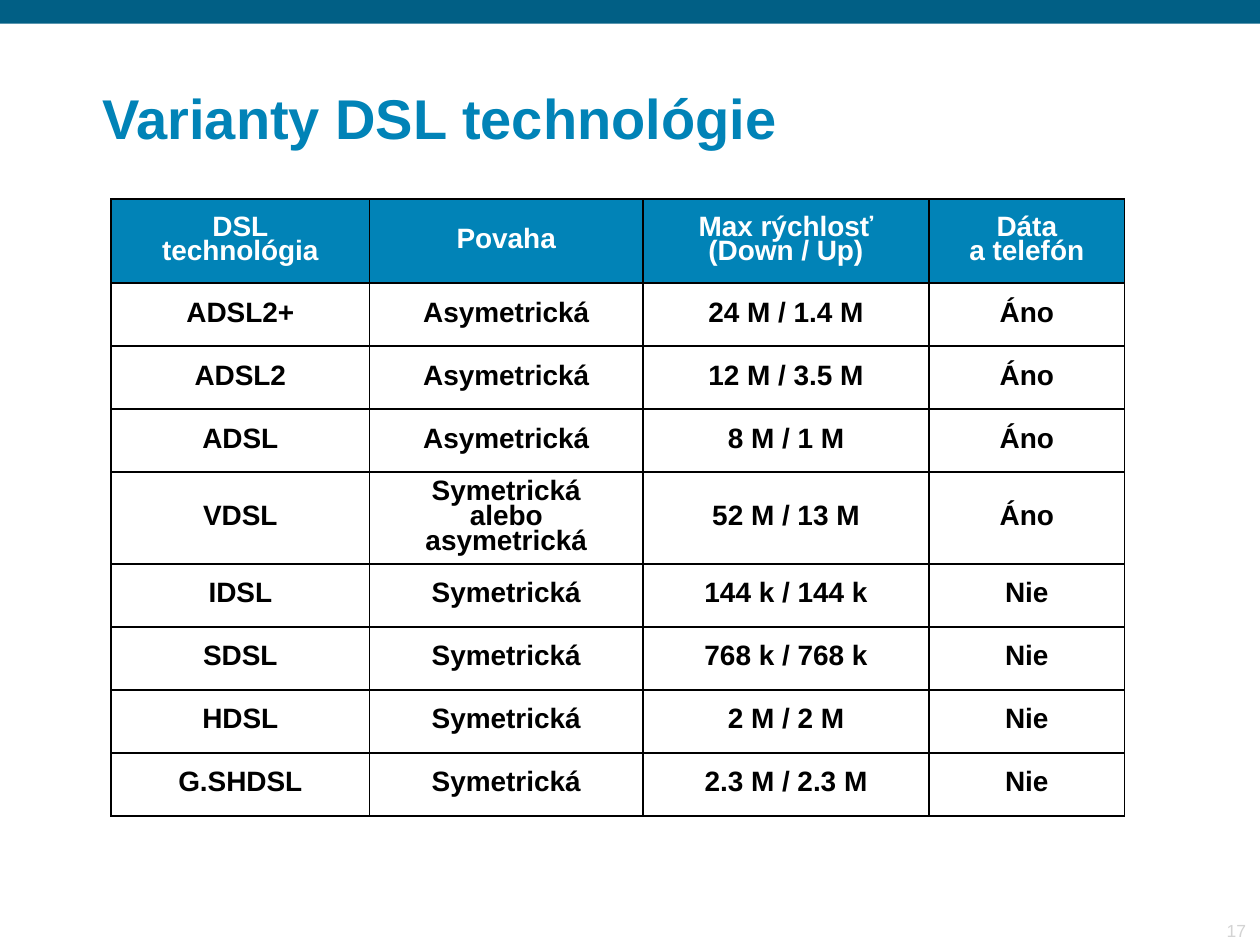
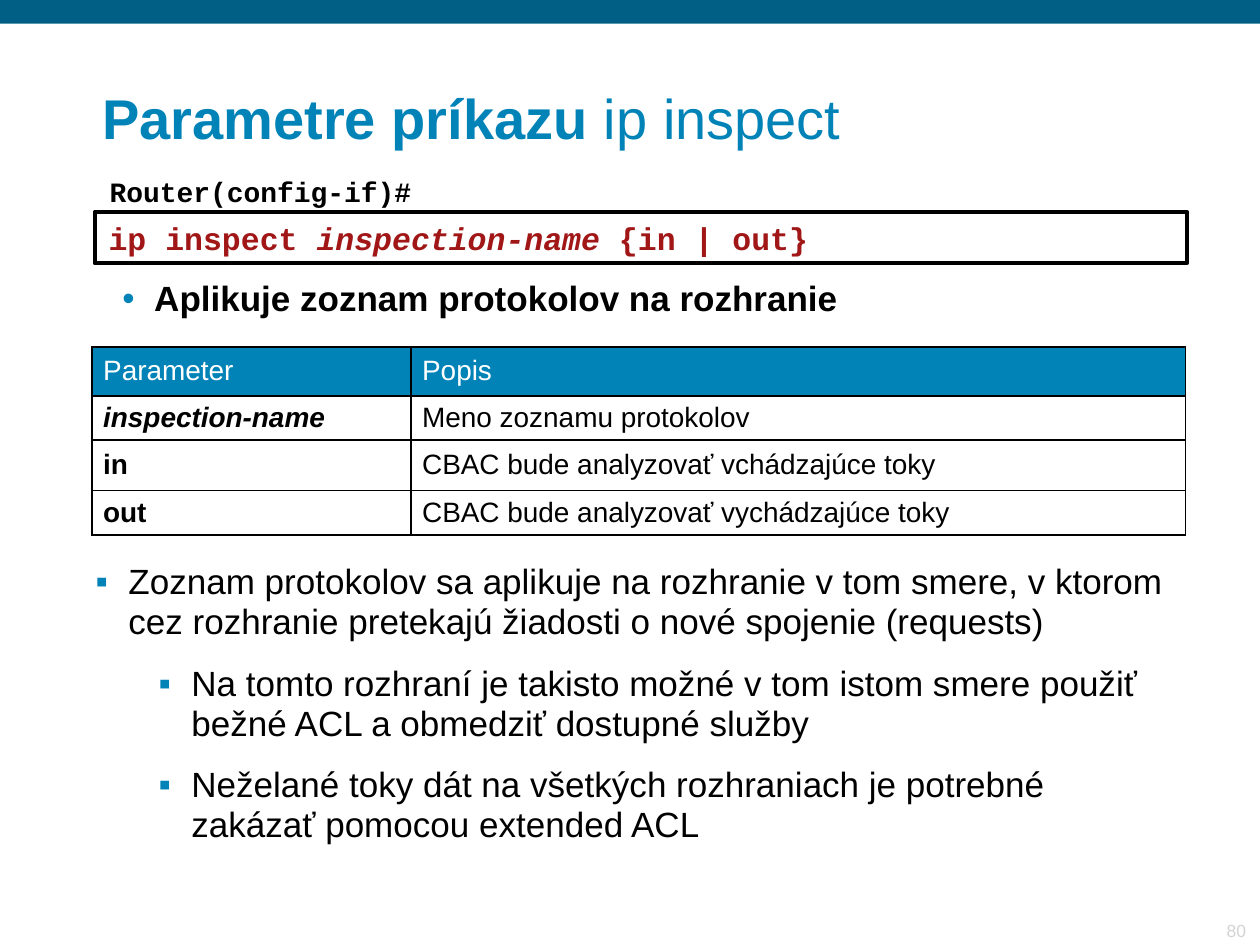
from dataclasses import dataclass

from lxml.etree import SubElement
from pptx import Presentation
from pptx.dml.color import RGBColor as RGB
from pptx.enum.shapes import MSO_SHAPE as SHAPE
from pptx.enum.text import MSO_ANCHOR as ANCHOR, MSO_AUTO_SIZE as AUTO, PP_ALIGN as ALIGN
from pptx.oxml.ns import qn
from pptx.util import Cm, Pt


@dataclass(frozen=True)
class Theme:
    band: str = "015F85"
    accent: str = "0183B7"
    ink: str = "000000"
    paper: str = "FFFFFF"
    muted: str = "D3D3D3"
    command: str = "A11616"
    font: str = "Arial"
    mono: str = "Courier New"
    title_size: int = 32
    body_size: int = 20
    command_size: int = 18
    table_size: int = 16
    number_size: int = 10
    border: float = 1.08
    frame: float = 2.25


T = Theme()
TIGHT, NORMAL, WIDE = (0.23, 0.11), (0.23, 0.13), (0.28, 0.15)


def rgb(color):
    return RGB.from_string(color)


def write(tf, text, size=T.body_size, color=T.ink, font=T.font, style="",
          align=ALIGN.LEFT, spacing=None, before=0, bullet=None, level=0,
          indent=0, hanging=0):
    p = tf.add_paragraph() if tf.text else tf.paragraphs[0]
    p.alignment, p.level, p.space_before = align, level, Pt(before)
    if spacing:
        p.line_spacing = spacing
    if bullet:
        add_bullet(p, bullet, indent, hanging)
    pieces = [(text, style)] if isinstance(text, str) else text
    for piece, look in pieces:
        for i, line in enumerate(piece.split("\n")):
            if i:
                p.add_line_break()
            r = p.add_run()
            r.text = line
            f = r.font
            f.name, f.size, f.color.rgb = font, Pt(size), rgb(color)
            f.bold, f.italic = "b" in look, "i" in look


def add_bullet(p, char, indent, hanging):
    pPr = p._p.get_or_add_pPr()
    pPr.set("marL", str(Cm(indent)))
    pPr.set("indent", str(-Cm(hanging)))
    SubElement(SubElement(pPr, qn("a:buClr")), qn("a:srgbClr"), val=T.accent)
    SubElement(pPr, qn("a:buFont"), typeface=T.font)
    SubElement(pPr, qn("a:buChar"), char=char)


def add_borders(cell):
    tcPr = cell._tc.get_or_add_tcPr()
    for i, side in enumerate(("lnL", "lnR", "lnT", "lnB")):
        ln = tcPr.makeelement(qn(f"a:{side}"), {"w": str(Pt(T.border))})
        fill = SubElement(ln, qn("a:solidFill"))
        SubElement(fill, qn("a:srgbClr"), val=T.ink)
        tcPr.insert(i, ln)


class Deck:
    def __init__(self):
        self.prs = Presentation()
        self.prs.slide_width, self.prs.slide_height = Cm(25.4), Cm(19.05)
        self.s = None

    def slide(self, title, number):
        self.s = self.prs.slides.add_slide(self.prs.slide_layouts[5])
        self.rect(0, 0, 25.4, 0.48, fill=T.band)
        tf = self.text(23.29, 18.42, 2.06, 0.66, inset=TIGHT, anchor=ANCHOR.BOTTOM, wrap=False)
        write(tf, str(number), size=T.number_size, color=T.muted, align=ALIGN.RIGHT)
        sp = self.s.shapes.title
        sp.left, sp.top, sp.width, sp.height = Cm(1.83), Cm(1.27), Cm(22.63), Cm(2.34)
        tf = self.frame(sp, TIGHT, ANCHOR.MIDDLE)
        write(tf, title, size=T.title_size, color=T.accent, style="b", spacing=0.9)

    def frame(self, sp, inset, anchor, wrap=True):
        tf = sp.text_frame
        tf.auto_size, tf.word_wrap, tf.vertical_anchor = AUTO.NONE, wrap, anchor
        tf.margin_left = tf.margin_right = Cm(inset[0])
        tf.margin_top = tf.margin_bottom = Cm(inset[1])
        return tf

    def rect(self, x, y, w, h, fill, line=None):
        sp = self.s.shapes.add_shape(SHAPE.RECTANGLE, Cm(x), Cm(y), Cm(w), Cm(h))
        sp.shadow.inherit = False
        sp.fill.solid()
        sp.fill.fore_color.rgb = rgb(fill)
        if line:
            sp.line.color.rgb, sp.line.width = rgb(line), Pt(T.frame)
        else:
            sp.line.fill.background()
        return self.frame(sp, WIDE, ANCHOR.MIDDLE)

    def text(self, x, y, w, h, inset=NORMAL, anchor=ANCHOR.TOP, wrap=True):
        sp = self.s.shapes.add_textbox(Cm(x), Cm(y), Cm(w), Cm(h))
        return self.frame(sp, inset, anchor, wrap)

    def table(self, x, y, widths, heights, rows, **fmt):
        tbl = self.s.shapes.add_table(len(rows), len(widths), Cm(x), Cm(y),
                                      Cm(sum(widths)), Cm(sum(heights))).table
        tbl.first_row = tbl.horz_banding = False
        for col, w in zip(tbl.columns, widths):
            col.width = Cm(w)
        for i, (row, h, texts) in enumerate(zip(tbl.rows, heights, rows)):
            row.height = Cm(h)
            fill, color = (T.paper, T.ink) if i else (T.accent, T.paper)
            for cell, text in zip(row.cells, texts):
                cell.fill.solid()
                cell.fill.fore_color.rgb = rgb(fill)
                cell.vertical_anchor = ANCHOR.MIDDLE
                cell.margin_left = cell.margin_right = Cm(NORMAL[0])
                cell.margin_top = cell.margin_bottom = Cm(NORMAL[1])
                add_borders(cell)
                write(cell.text_frame, text, size=T.table_size, color=color, **fmt)


def dsl_variants(deck):
    deck.slide("Varianty DSL technológie", 17)
    asym, sym = "Asymetrická", "Symetrická"
    rows = [
        ("DSL\ntechnológia", "Povaha", "Max rýchlosť\n(Down / Up)", "Dáta\na telefón"),
        ("ADSL2+", asym, "24 M / 1.4 M", "Áno"),
        ("ADSL2", asym, "12 M / 3.5 M", "Áno"),
        ("ADSL", asym, "8 M / 1 M", "Áno"),
        ("VDSL", "Symetrická\nalebo\nasymetrická", "52 M / 13 M", "Áno"),
        ("IDSL", sym, "144 k / 144 k", "Nie"),
        ("SDSL", sym, "768 k / 768 k", "Nie"),
        ("HDSL", sym, "2 M / 2 M", "Nie"),
        ("G.SHDSL", sym, "2.3 M / 2.3 M", "Nie"),
    ]
    heights = [1.7] + [1.27] * 3 + [1.85] + [1.27] * 4
    deck.table(2.24, 4.01, (5.21, 5.51, 5.77, 3.94), heights, rows,
               style="b", align=ALIGN.CENTER, spacing=0.8)


def ip_inspect(deck):
    deck.slide([("Parametre príkazu ", "b"), ("ip inspect", "")], 80)
    rows = [
        ("Parameter", "Popis"),
        ([("inspection-name", "bi")], "Meno zoznamu protokolov"),
        ([("in", "b")], "CBAC bude analyzovať vchádzajúce toky"),
        ([("out", "b")], "CBAC bude analyzovať vychádzajúce toky"),
    ]
    deck.table(1.85, 6.99, (6.43, 15.62), (0.99, 0.89, 1.02, 0.89), rows)

    notes = [
        (0, "Zoznam protokolov sa aplikuje na rozhranie v tom smere, v ktorom "
            "cez rozhranie pretekajú žiadosti o nové spojenie (requests)"),
        (1, "Na tomto rozhraní je takisto možné v tom istom smere použiť "
            "bežné ACL a obmedziť dostupné služby"),
        (1, "Neželané toky dát na všetkých rozhraniach je potrebné "
            "zakázať pomocou extended ACL"),
    ]
    tf = deck.text(1.7, 11.23, 22.05, 6.78, inset=TIGHT)
    for level, note in notes:
        write(tf, note, spacing=0.95, before=12.5, bullet="▪", level=level,
              indent=0.66 + 1.27 * level, hanging=0.66)

    tf = deck.rect(1.91, 4.27, 22.02, 1.04, fill=T.paper, line=T.ink)
    command = [("ip inspect ", "b"), ("inspection-name", "bi"), (" {in | out}", "b")]
    write(tf, command, size=T.command_size, color=T.command, font=T.mono, before=6.8)

    tf = deck.text(1.91, 5.51, 22.02, 1.07)
    write(tf, "Aplikuje zoznam protokolov na rozhranie", style="b", spacing=0.95,
          before=8.8, bullet="•", level=1, indent=0.97, hanging=0.64)

    tf = deck.text(1.93, 3.38, 6.99, 0.97, inset=WIDE, anchor=ANCHOR.BOTTOM, wrap=False)
    write(tf, "Router(config-if)#", size=T.table_size, font=T.mono, style="b")


def main():
    deck = Deck()
    dsl_variants(deck)
    ip_inspect(deck)
    deck.prs.save("out.pptx")


if __name__ == "__main__":
    main()
